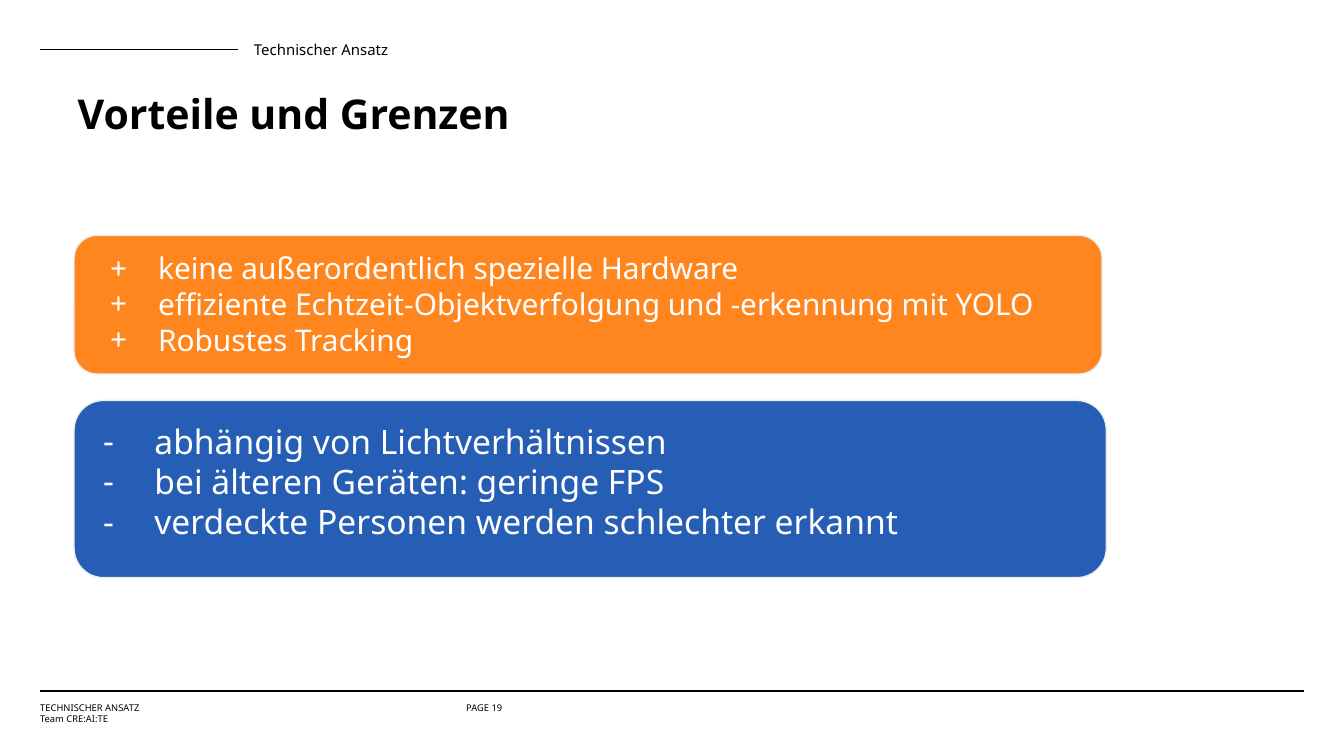
from collections import namedtuple

from lxml.etree import SubElement
from pptx import Presentation
from pptx.dml.color import RGBColor
from pptx.enum.shapes import MSO_CONNECTOR as Connector, MSO_SHAPE as Shape
from pptx.oxml.ns import qn
from pptx.util import Cm, Pt

Box = namedtuple("Box", "left top width height")

FONT = "Noto Sans"
BLACK = RGBColor(0x00, 0x00, 0x00)
WHITE = RGBColor(0xFF, 0xFF, 0xFF)
ORANGE = RGBColor(0xFF, 0x85, 0x1F)
BLUE = RGBColor(0x26, 0x5D, 0xB5)
PALE_GREY = RGBColor(0xED, 0xED, 0xED)

MARGIN = 0.76
INSET = 0.25
TEXT_INDENT = 1.27


def lengths(box):
    return [Cm(value) for value in box]


def add_text(page, box, lines, size, color=BLACK, bold=False, insets=(0, 0, 0, 0)):
    """Add a text box with one paragraph per line; insets run left, top, right, bottom."""
    frame = page.shapes.add_textbox(*lengths(box)).text_frame
    frame.word_wrap = True
    (frame.margin_left, frame.margin_top,
     frame.margin_right, frame.margin_bottom) = lengths(insets)
    frame.text = "\n".join(lines)
    for para in frame.paragraphs:
        for span in para.runs:
            span.font.name = FONT
            span.font.size = Pt(size)
            span.font.bold = bold
            span.font.color.rgb = color
    return frame


def add_rule(page, left, right, y):
    rule = page.shapes.add_connector(
        Connector.STRAIGHT, Cm(left), Cm(y), Cm(right), Cm(y))
    rule.line.color.rgb = BLACK
    rule.line.width = Pt(0.75)
    SubElement(rule._element.spPr, qn("a:effectLst"))


def set_bullet(para, mark, hanging):
    props = para._p.get_or_add_pPr()
    props.set("marL", str(Cm(TEXT_INDENT)))
    props.set("indent", str(-Cm(hanging)))
    color = SubElement(props, qn("a:buClr"))
    SubElement(color, qn("a:srgbClr"), val=str(WHITE))
    SubElement(props, qn("a:buFont"), typeface=FONT)
    SubElement(props, qn("a:buChar"), char=mark)


def add_header(page, box):
    rule_width, gap = 3.74, 0.3
    add_rule(page, box.left, box.left + rule_width, box.top + 0.18)
    section_left = box.left + rule_width + gap
    add_text(page, Box(section_left, box.top, 6.63, 0.33), ["Technischer Ansatz"], 8)

    title = add_text(page, Box(box.left + 0.71, box.top + 0.76, 8.46, 1.37),
                     ["Vorteile und Grenzen"], 22, bold=True,
                     insets=(0, INSET, INSET, INSET))
    title.paragraphs[0].line_spacing = 0.9


def add_card(page, box, fill, text_box, lines, mark, size, hanging):
    """Add a rounded panel with a bulleted list; text_box is relative to the panel."""
    panel = page.shapes.add_shape(Shape.ROUNDED_RECTANGLE, *lengths(box))
    panel.shadow.inherit = False
    panel.fill.solid()
    panel.fill.fore_color.rgb = fill
    panel.line.color.rgb = PALE_GREY
    panel.line.width = Pt(0.75)

    list_box = text_box._replace(left=box.left + text_box.left,
                                 top=box.top + text_box.top)
    frame = add_text(page, list_box, lines, size, WHITE, insets=(INSET,) * 4)
    for para in frame.paragraphs:
        set_bullet(para, mark, hanging)


def add_footer(page, box):
    add_rule(page, box.left, box.left + box.width, box.top)
    label = Box(box.left, box.top + 0.22, 3.33, 0.43)
    add_text(page, label, ["TECHNISCHER ANSATZ", "Team CRE:AI:TE"], 5)
    add_text(page, label._replace(left=box.left + 8.05), ["PAGE 19"], 5)


def main():
    deck = Presentation()
    deck.slide_width, deck.slide_height = Cm(25.4), Cm(14.29)
    page = deck.slides.add_slide(deck.slide_layouts[6])
    content_width = 25.4 - 2 * MARGIN

    add_header(page, Box(MARGIN, 0.76, content_width, 2.13))
    add_card(page, Box(1.4, 4.45, 19.43, 2.62), ORANGE, Box(0.07, 0.02, 19.43, 2.62),
             ["keine außerordentlich spezielle Hardware",
              "effiziente Echtzeit-Objektverfolgung und -erkennung mit YOLO",
              "Robustes Tracking"],
             mark="+", size=16, hanging=0.91)
    add_card(page, Box(1.4, 7.57, 19.51, 3.35), BLUE, Box(0, 0.13, 17.27, 3.02),
             ["abhängig von Lichtverhältnissen",
              "bei älteren Geräten: geringe FPS",
              "verdeckte Personen werden schlechter erkannt"],
             mark="-", size=18, hanging=0.97)
    add_footer(page, Box(MARGIN, 13.06, content_width, 0.65))
    deck.save("out.pptx")


if __name__ == "__main__":
    main()
